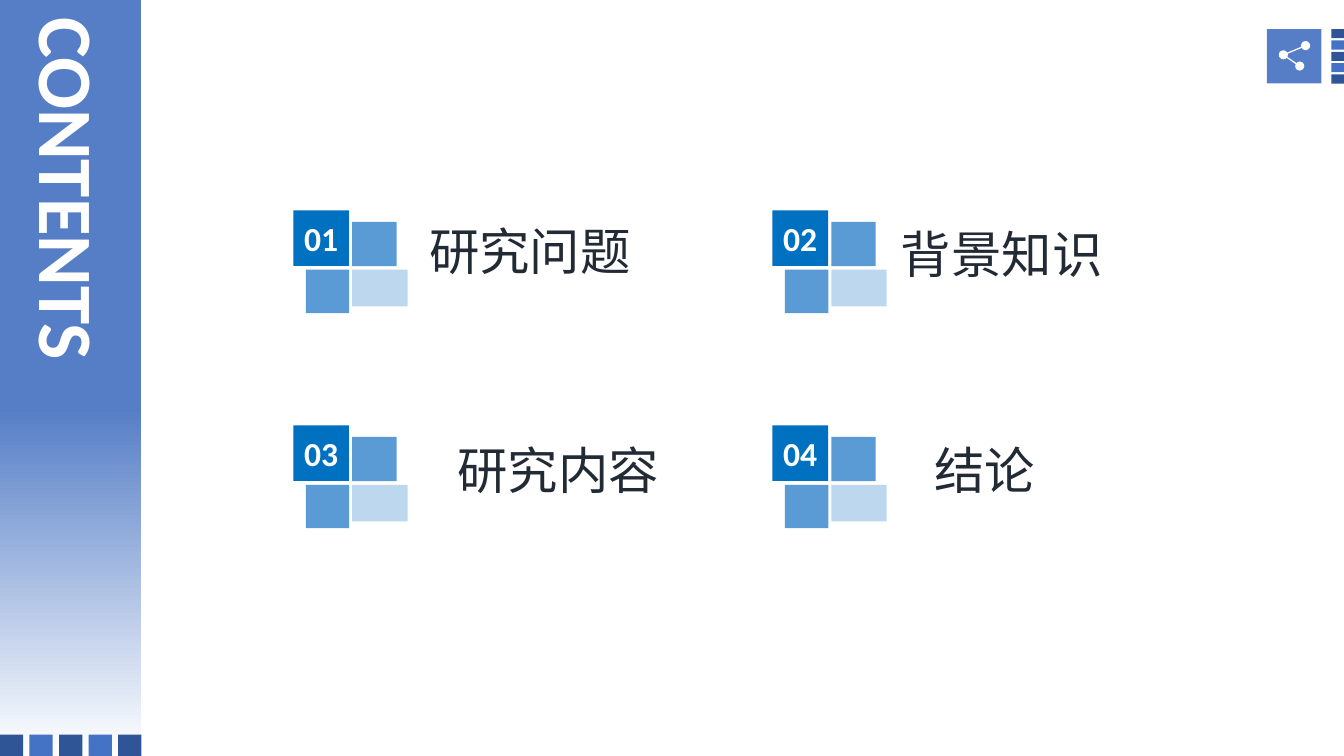
import pptx
import pptx.util
import pptx.dml.color
import pptx.enum.shapes
import pptx.enum.text
import pptx.oxml.ns
import lxml.etree

Pt = pptx.util.Pt
KIND = pptx.enum.shapes.MSO_SHAPE
ALIGN = pptx.enum.text.PP_ALIGN
ANCHOR = pptx.enum.text.MSO_ANCHOR

# Content: number, label, label's left, top and width
TITLE = "CONTENTS"
ITEMS = [
    ("01", "研究问题", (299.5, 154, 160)),
    ("02", "背景知识", (636.5, 155.5, 160)),
    ("03", "研究内容", (319.7, 310.3, 160)),
    ("04", "结论", (660.2, 310.3, 87)),
]


class Theme:
    white, ink = "FFFFFF", "222A35"
    bar, dark, mid = "567EC6", "2F5597", "4472C4"
    deep, sky, pale = "0070C0", "5B9BD5", "BDD7EE"
    latin, han = "Calibri", "Noto Sans CJK SC"
    title, label, number = 55, 36, 24


# Layout
WIDE, HIGH = 960, 540
SIDE = 100.8
COLS, ROWS = (209.5, 551.7), (150.2, 303.8)
TILES = [  # offset, size and colour; the first carries the number
    (0, 0, 39.8, 39.8, Theme.deep),
    (42.1, 8.3, 31.7, 31.7, Theme.sky),
    (9, 42.5, 31, 31, Theme.sky),
    (42.1, 42.5, 39.6, 26.2, Theme.pale),
]
BADGE = (905, 20.8, 38.9, 38.9)
NODES = [(916.7, 39.2), (932.6, 32.6), (928.4, 47.2)]
NODE = 6.5

deck = pptx.Presentation()
deck.slide_width, deck.slide_height = Pt(WIDE), Pt(HIGH)
slide = deck.slides.add_slide(deck.slide_layouts[5])
shapes = slide.shapes


def color(name):
    return pptx.dml.color.RGBColor.from_string(name)


def block(x, y, w, h, fill, kind=KIND.RECTANGLE):
    shape = shapes.add_shape(kind, Pt(x), Pt(y), Pt(w), Pt(h))
    shape.shadow.inherit = False
    shape.line.fill.background()
    shape.fill.solid()
    shape.fill.fore_color.rgb = color(fill)
    return shape


def write(shape, text, size, font, fill, bold=False, align=ALIGN.LEFT):
    shape.text_frame.text = text
    para = shape.text_frame.paragraphs[0]
    para.alignment = align
    run = para.runs[0]
    run.font.size, run.font.name, run.font.bold = Pt(size), font, bold
    run.font.color.rgb = color(fill)
    if font == Theme.han:
        tag = pptx.oxml.ns.qn("a:ea")
        lxml.etree.SubElement(run.font._element, tag, typeface=font)


def stripes(x, y, w, h, dx, dy):
    for i in range(5):
        fill = Theme.mid if i % 2 else Theme.dark
        block(x + i * dx, y + i * dy, w, h, fill)


# Side bar
side = block(0, 0, SIDE, HIGH, Theme.bar)
side.fill.gradient()
side.fill.gradient_angle = 270
for stop, (place, fill) in zip(side.fill.gradient_stops,
                               [(0.54, Theme.bar), (1, Theme.white)]):
    stop.position = place
    stop.color.rgb = color(fill)
stripes(0, 524.8, 16.6, 15.2, 21.1, 0)

# Title, running down the bar and in front of it
title = shapes.title
shapes._spTree.append(title._element)
title.left, title.top, title.width, title.height = map(Pt, (10, 8.6, 80.6, 284))
write(title, TITLE, Theme.title, Theme.latin, Theme.white, True)
title.text_frame.auto_size = pptx.enum.text.MSO_AUTO_SIZE.NONE
title.text_frame.vertical_anchor = ANCHOR.TOP
title.text_frame._txBody.bodyPr.set("vert", "eaVert")

# Corner badge with share sign
stripes(951.1, 20.8, 8.9, 6.5, 0, 8.1)
block(*BADGE, Theme.bar)
hub = NODES[0]
for node in NODES[1:]:
    link = shapes.add_connector(pptx.enum.shapes.MSO_CONNECTOR.STRAIGHT,
                                *map(Pt, hub + node))
    link.line.width = Pt(0.9)
    link.line.color.rgb = color(Theme.white)
    lxml.etree.SubElement(link._element.spPr, pptx.oxml.ns.qn("a:effectLst"))
for x, y in NODES:
    block(x - NODE / 2, y - NODE / 2, NODE, NODE, Theme.white, KIND.OVAL)

# Numbered items on a two by two grid
for i, (number, label, (left, top, width)) in enumerate(ITEMS):
    x, y = COLS[i % 2], ROWS[i // 2]
    tiles = [block(x + dx, y + dy, w, h, fill) for dx, dy, w, h, fill in TILES]
    frame = tiles[0].text_frame
    frame.margin_left = frame.margin_right = 0
    frame.vertical_anchor = ANCHOR.MIDDLE
    write(tiles[0], number, Theme.number, Theme.latin, Theme.white, True,
          ALIGN.CENTER)

    box = shapes.add_textbox(Pt(left), Pt(top), Pt(width), Pt(51))
    box.text_frame.word_wrap = False
    write(box, label, Theme.label, Theme.han, Theme.ink)

deck.save("out.pptx")
